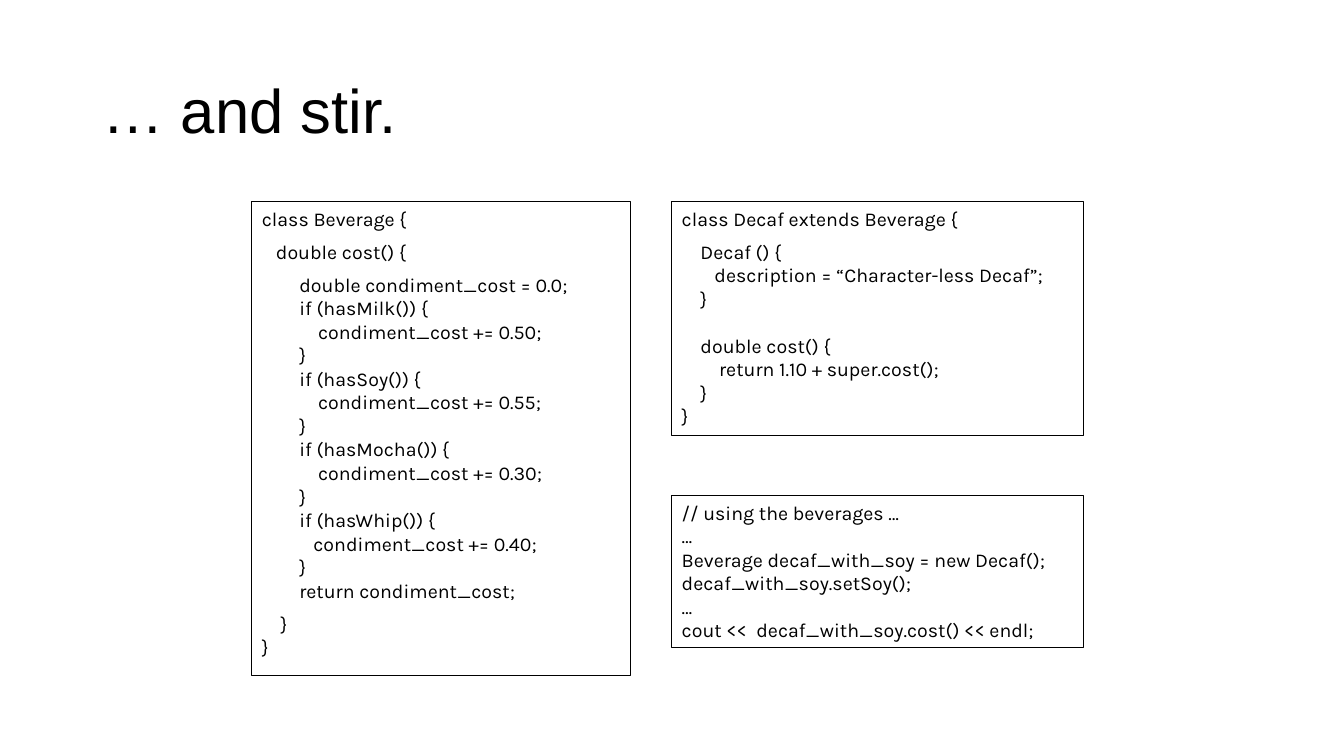
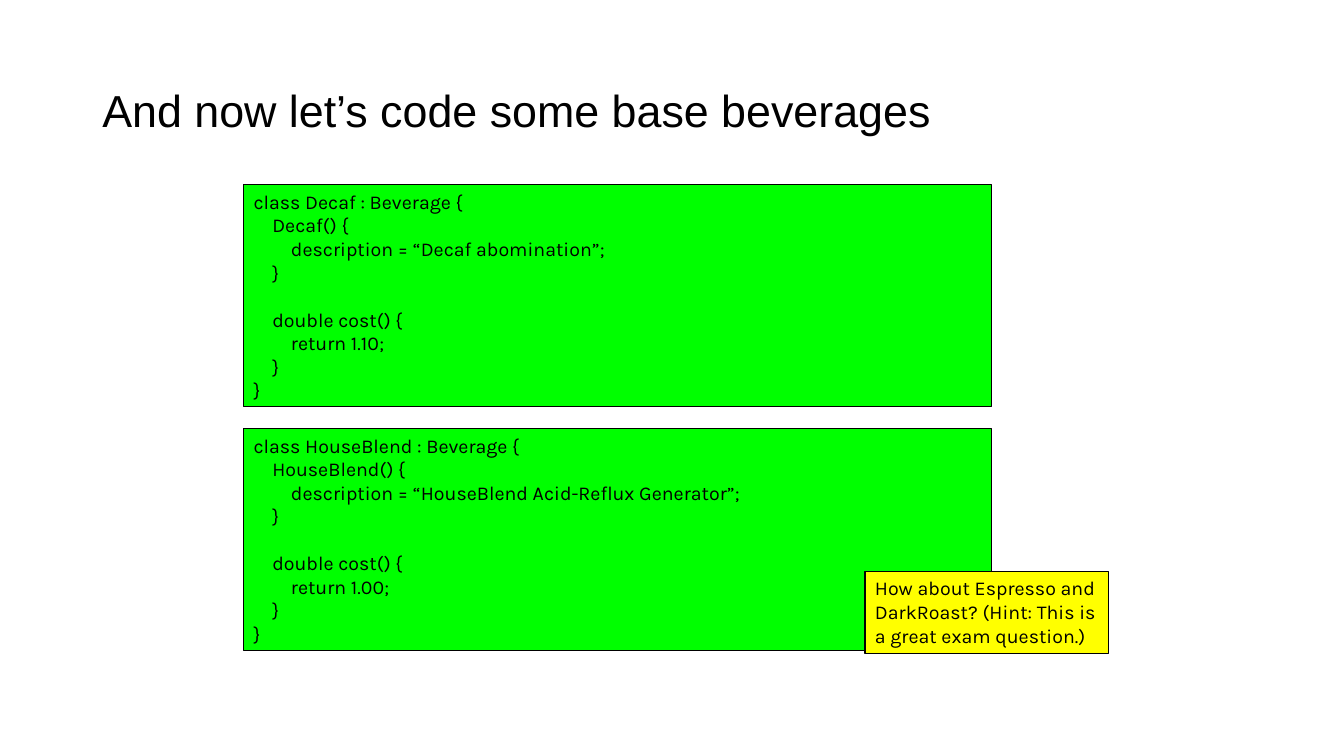
import pptx
import pptx.dml.color
import pptx.enum.shapes
import pptx.enum.text
import pptx.util

Cm = pptx.util.Cm
Pt = pptx.util.Pt
Anchor = pptx.enum.text.MSO_ANCHOR

COLORS = {"ink": "000000", "code": "00FF00", "note": "FFFF00"}
TITLE_FONT, CODE_FONT = "Arial", "Karla"
TITLE_AREA = (2.33, 1.01, 29.21, 3.68)
CODE_SIZE = 14
SPACE_WIDTH = 0.118  # cm taken by one leading space of code
HALF_GAP, LINE_GAP = 6.8, 16.8  # points

# Each listing is a list of blocks set apart by half a line.
BEVERAGE = ["class Beverage {", "   double cost() {", """\
        double condiment_cost = 0.0;
        if (hasMilk()) {
            condiment_cost += 0.50;
        }
        if (hasSoy()) {
            condiment_cost += 0.55;
        }
        if (hasMocha()) {
            condiment_cost += 0.30;
        }
        if (hasWhip()) {
           condiment_cost += 0.40;
        }
        return condiment_cost;""", """\
    }
}"""]

DECAF_EXTENDS = ["class Decaf extends Beverage {", """\
    Decaf () {
       description = “Character-less Decaf”;
    }

    double cost() {
        return 1.10 + super.cost();
    }
}"""]

USAGE = ["""\
// using the beverages …
…
Beverage decaf_with_soy = new Decaf();
decaf_with_soy.setSoy();
…
cout <<  decaf_with_soy.cost() << endl;"""]

DECAF = ["""\
class Decaf : Beverage {
    Decaf() {
        description = “Decaf abomination”;
    }

    double cost() {
        return 1.10;
    }
}"""]

HOUSE_BLEND = ["""\
class HouseBlend : Beverage {
    HouseBlend() {
        description = “HouseBlend Acid-Reflux Generator”;
    }

    double cost() {
        return 1.00;
    }
}"""]

HINT = ["How about Espresso and DarkRoast? (Hint: This is a great exam question.)"]

# Panels: blocks, (left, top, width, height) in cm, fill
SLIDES = [
    {"title": "… and stir.", "size": 44, "panels": [
        (BEVERAGE, (6.35, 5.08, 9.53, 11.94), None),
        (DECAF_EXTENDS, (16.93, 5.08, 10.37, 5.89), None),
        (USAGE, (16.93, 12.49, 10.37, 3.84), None),
    ]},
    {"title": "And now let’s code some base beverages", "size": 32, "panels": [
        (DECAF, (6.14, 4.66, 18.84, 5.59), "code"),
        (HOUSE_BLEND, (6.14, 10.8, 18.84, 5.59), "code"),
        (HINT, (21.8, 14.4, 6.14, 2.06), "note"),
    ]},
]


def rgb(name):
    return pptx.dml.color.RGBColor.from_string(COLORS[name])


def code_lines(blocks):
    """Yield (text, leading spaces, gap before) for every line that has text."""
    for number, block in enumerate(blocks):
        gap = HALF_GAP if number else 0
        for line in block.splitlines():
            text = line.strip()
            if not text:
                gap += LINE_GAP
                continue
            yield text, len(line) - len(line.lstrip()), gap
            gap = 0


def write(para, text, *, font, size, indent=0, before=0, spacing=1.0):
    para.alignment = pptx.enum.text.PP_ALIGN.LEFT
    para.space_before = Pt(before)
    para.line_spacing = spacing
    if indent:
        para._p.get_or_add_pPr().set("marL", str(int(Cm(indent))))
    span = para.add_run()
    span.text = text
    span.font.name = font
    span.font.size = Pt(size)
    span.font.color.rgb = rgb("ink")


def add_title(page, text, size):
    box = page.shapes.add_textbox(*map(Cm, TITLE_AREA))
    frame = box.text_frame
    frame.word_wrap = True
    frame.vertical_anchor = Anchor.MIDDLE
    write(frame.paragraphs[0], text, font=TITLE_FONT, size=size, spacing=0.9)


def add_panel(page, blocks, area, fill):
    panel = page.shapes.add_shape(
        pptx.enum.shapes.MSO_SHAPE.RECTANGLE, *map(Cm, area))
    panel.shadow.inherit = False
    panel.line.color.rgb = rgb("ink")
    panel.line.width = Pt(0.75)
    if fill:
        panel.fill.solid()
        panel.fill.fore_color.rgb = rgb(fill)
    else:
        panel.fill.background()
    frame = panel.text_frame
    frame.word_wrap = True
    frame.vertical_anchor = Anchor.TOP
    for number, (text, spaces, gap) in enumerate(code_lines(blocks)):
        para = frame.add_paragraph() if number else frame.paragraphs[0]
        write(para, text, font=CODE_FONT, size=CODE_SIZE,
              indent=spaces * SPACE_WIDTH, before=gap)


def main():
    deck = pptx.Presentation()
    deck.slide_width, deck.slide_height = Cm(33.87), Cm(19.05)
    blank = deck.slide_layouts[6]
    for content in SLIDES:
        page = deck.slides.add_slide(blank)
        add_title(page, content["title"], content["size"])
        for panel in content["panels"]:
            add_panel(page, *panel)
    deck.save("out.pptx")


if __name__ == "__main__":
    main()
